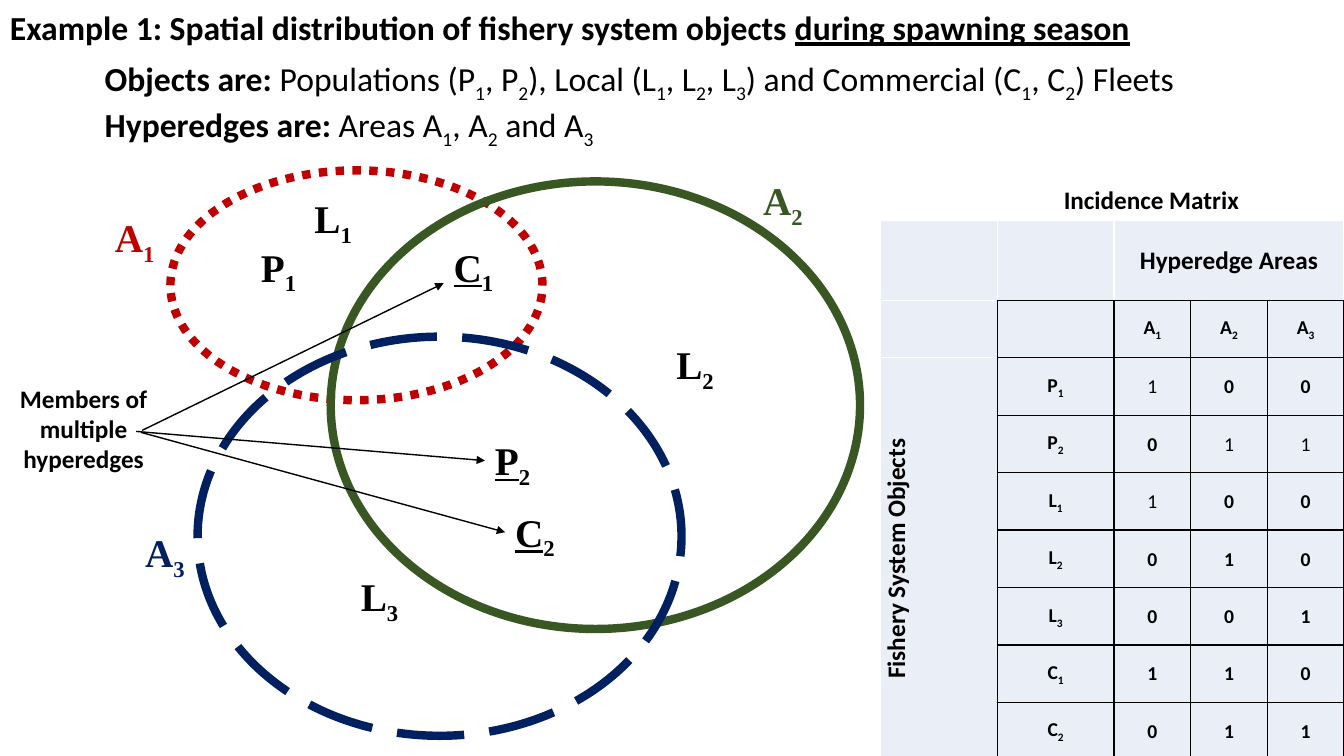
from lxml import etree
from pptx import Presentation
from pptx.dml.color import RGBColor
from pptx.enum.dml import MSO_LINE as Dash
from pptx.enum.shapes import MSO_CONNECTOR as Link, MSO_SHAPE as Form
from pptx.enum.text import MSO_ANCHOR as Anchor, PP_ALIGN as Align
from pptx.oxml import parse_xml
from pptx.oxml.ns import nsdecls, qn
from pptx.util import Inches, Pt


def hue(code):
    return RGBColor.from_string(code)


def write(par, parts, size, face="Calibri", code="000000"):
    for text, bold, under in parts:
        for i, piece in enumerate(text.split("~")):
            spans = [(piece[:1], True), (piece[1:], False)] if i else [(piece, False)]
            for word, low in spans:
                if not word:
                    continue
                run = par.add_run()
                run.text = word
                font = run.font
                font.size, font.name, font.bold = Pt(size), face, bold
                font.color.rgb = hue(code)
                font.underline = under and not low
                if low:
                    run._r.get_or_add_rPr().set("baseline", "-25000")


RED, GREEN, NAVY, BLACK, WHITE, PALE = "C00000", "385723", "002060", "000000", "FFFFFF", "EAEFF7"

deck = Presentation()
deck.slide_width, deck.slide_height = Inches(13.33), Inches(7.5)
slide = deck.slides.add_slide(deck.slide_layouts[6])
shapes = slide.shapes

areas = [
    ((1.69, 1.69, 3.69, 2.28), RED, Dash.ROUND_DOT),
    ((3.28, 1.8, 5.25, 4.44), GREEN, None),
    ((1.96, 3.34, 4.8, 3.96), NAVY, Dash.LONG_DASH),
]
for box, code, dash in areas:
    oval = shapes.add_shape(Form.OVAL, *map(Inches, box))
    oval.shadow.inherit = False
    oval.fill.background()
    oval.line.color.rgb = hue(code)
    oval.line.width = Pt(6)
    if dash:
        oval.line.dash_style = dash

labels = [
    ("A~1", 1.04, 2.07, RED, False),
    ("A~2", 7.47, 1.7, GREEN, False),
    ("A~3", 1.34, 5.19, NAVY, False),
    ("P~1", 2.49, 2.36, BLACK, False),
    ("P~2", 4.81, 4.28, BLACK, True),
    ("L~1", 3.02, 1.88, BLACK, False),
    ("L~2", 6.61, 3.33, BLACK, False),
    ("L~3", 3.48, 5.63, BLACK, False),
    ("C~1", 4.4, 2.36, BLACK, True),
    ("C~2", 5.01, 4.99, BLACK, True),
]
for name, x, y, code, under in labels:
    frame = shapes.add_textbox(Inches(x), Inches(y), Inches(0.75), Inches(0.57)).text_frame
    frame.word_wrap = True
    write(frame.paragraphs[0], [(name, True, under)], 28, "Times New Roman", code)

notes = [
    ((0, 0.02, 13.24, 0.5), 24, Align.LEFT, [
        [("Example 1: Spatial distribution of fishery system objects ", True, False),
         ("during spawning season", True, True)]]),
    ((0.94, 0.53, 11.8, 0.91), 24, Align.LEFT, [
        [("Objects are: ", True, False),
         ("Populations (P~1, P~2), Local (L~1, L~2, L~3) and Commercial (C~1, C~2) Fleets", False, False)],
        [("Hyperedges are: ", True, False), ("Areas A~1, A~2 and A~3", False, False)]]),
    ((10.31, 1.78, 2.22, 0.4), 18, Align.CENTER, [[("Incidence Matrix", True, False)]]),
    ((-0.09, 3.75, 1.84, 1.01), 18, Align.CENTER, [
        [("Members of multiple", True, False)], [("hyperedges", True, False)]]),
]
for box, size, align, lines in notes:
    frame = shapes.add_textbox(*map(Inches, box)).text_frame
    frame.word_wrap = True
    for i, parts in enumerate(lines):
        par = frame.add_paragraph() if i else frame.paragraphs[0]
        par.alignment = align
        write(par, parts, size)

rows = [
    ["", "", "Hyperedge Areas", "", ""],
    ["", "", "A~1", "A~2", "A~3"],
    ["Fishery System Objects", "P~1", "1", "0", "0"],
    ["", "P~2", "0", "1", "1"],
    ["", "L~1", "1", "0", "0"],
    ["", "L~2", "0", "1", "0"],
    ["", "L~3", "0", "0", "1"],
    ["", "C~1", "1", "1", "0"],
    ["", "C~2", "0", "1", "1"],
]
grid = shapes.add_table(9, 5, Inches(8.73), Inches(2.19), Inches(4.6), Inches(5.31)).table
for c, col in enumerate(grid.columns):
    col.width = Inches(1.16 if c < 2 else 0.76)
for r, row in enumerate(grid.rows):
    row.height = Inches(0.57 if r else 0.79)
grid.cell(0, 2).merge(grid.cell(0, 4))
grid.cell(2, 0).merge(grid.cell(8, 0))
for r, row in enumerate(rows):
    for c, text in enumerate(row):
        cell = grid.cell(r, c)
        prop = cell._tc.get_or_add_tcPr()
        inner = r > 0 and c > 0
        dark = {"L": inner, "R": inner or r > 0, "T": inner, "B": inner or c > 0}
        for side, black in dark.items():
            prop.append(parse_xml(
                f'<a:ln{side} {nsdecls("a")} w="12700"><a:solidFill>'
                f'<a:srgbClr val="{BLACK if black else WHITE}"/></a:solidFill></a:ln{side}>'))
        cell.fill.solid()
        cell.fill.fore_color.rgb = hue(PALE)
        if not text:
            continue
        cell.vertical_anchor = Anchor.MIDDLE
        cell.margin_left = cell.margin_right = cell.margin_top = Inches(0.01)
        cell.margin_bottom = 0
        title = len(text) > 3
        if c == 0:
            prop.set("vert", "vert270")
        par = cell.text_frame.paragraphs[0]
        par.alignment = Align.CENTER
        bold = not (text == "1" and r < 5)
        write(par, [(text, bold, False)], 18 if title else 14)

arrows = [
    (1.41, 4.27, 4.4, 2.81),
    (1.35, 4.28, 4.81, 4.57),
    (1.4, 4.29, 5.01, 5.28),
]
for ends in arrows:
    arrow = shapes.add_connector(Link.STRAIGHT, *map(Inches, ends))
    arrow.line.color.rgb = hue(BLACK)
    arrow.line.width = Pt(1)
    etree.SubElement(arrow.line._get_or_add_ln(), qn("a:tailEnd"), type="triangle")
    etree.SubElement(arrow._element.spPr, qn("a:effectLst"))

deck.save("out.pptx")
